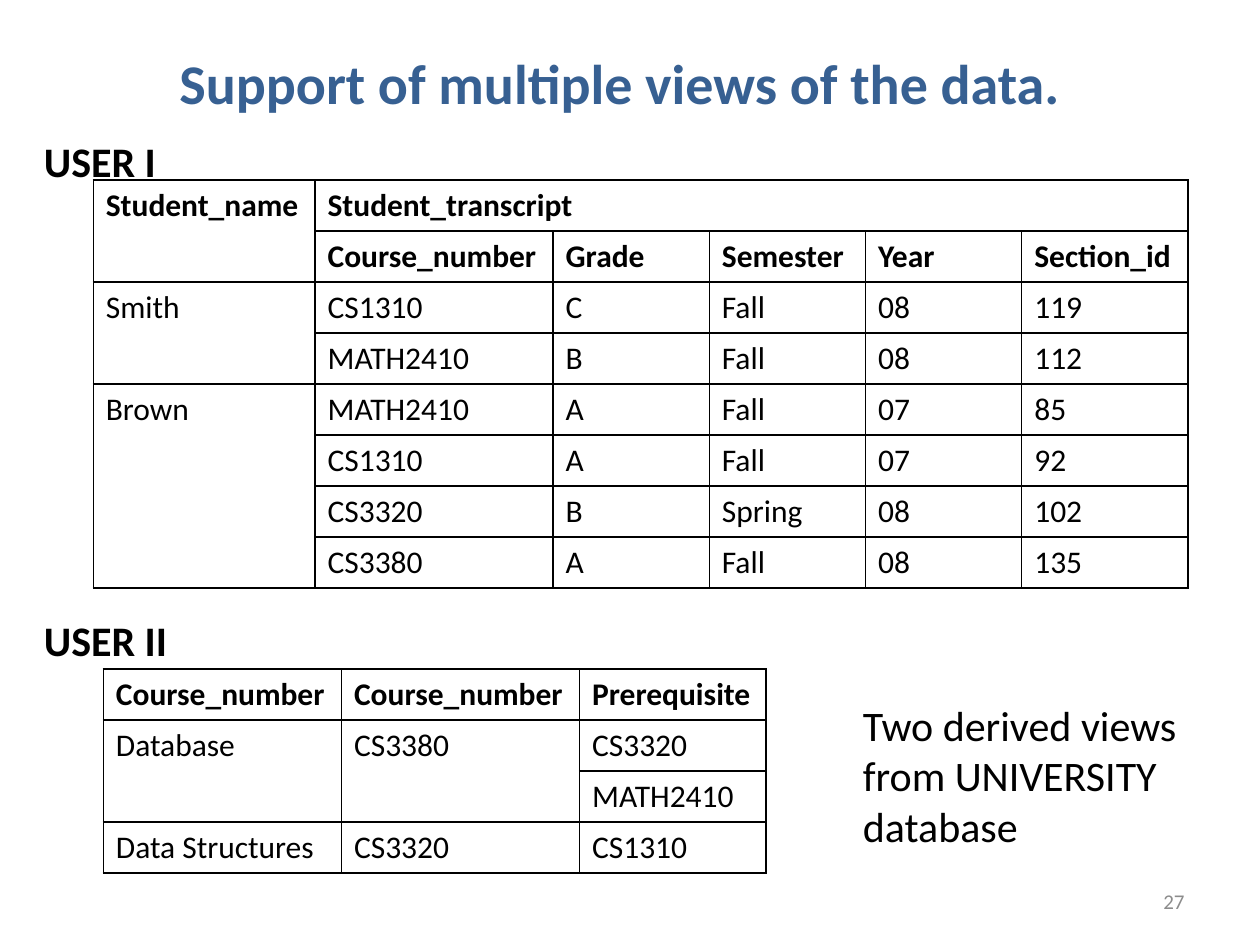
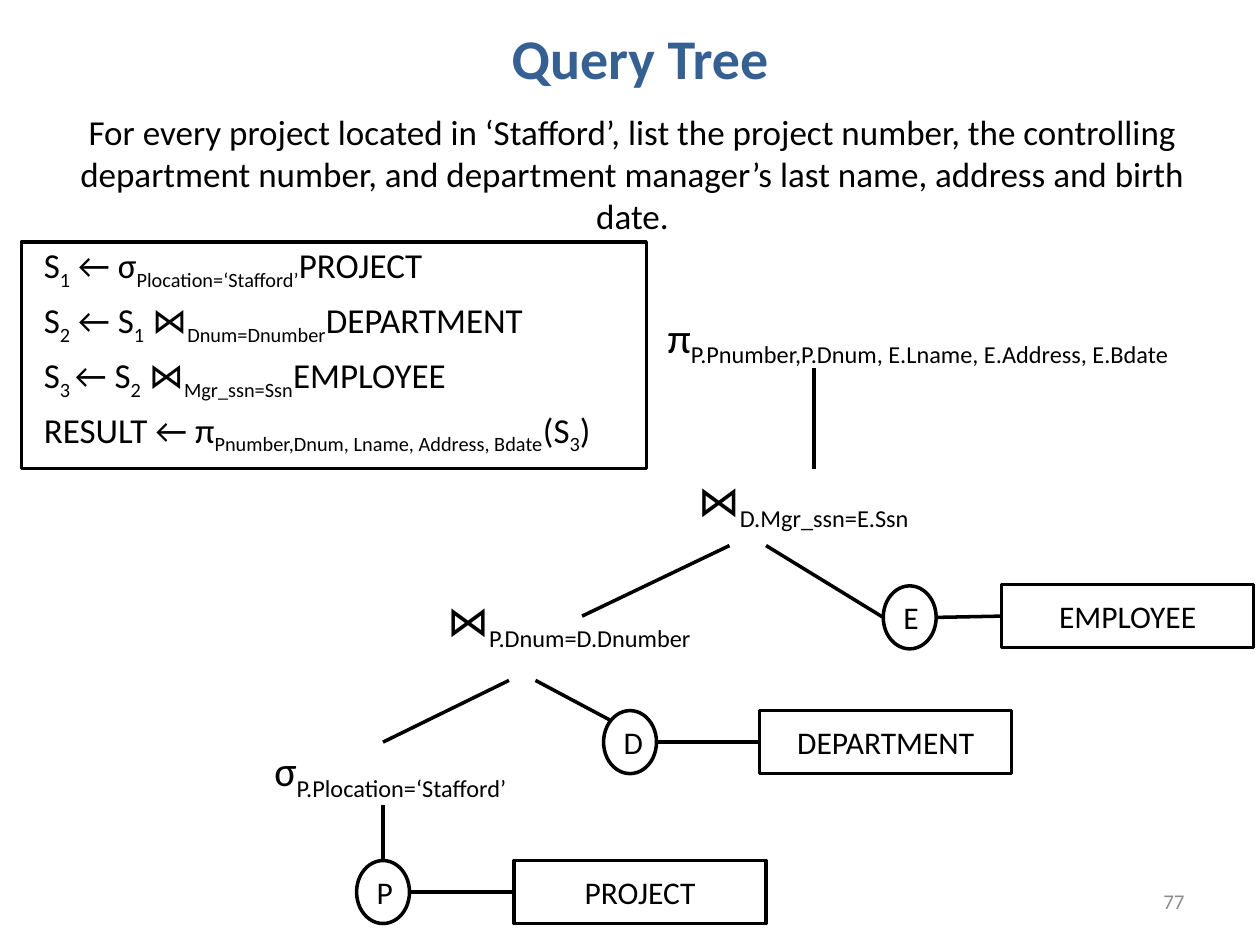
"""Build two database slides: derived views and a query tree."""
import lxml.etree
import pptx
import pptx.dml.color
import pptx.enum.shapes
import pptx.enum.text
import pptx.oxml.ns
import pptx.util

EMU_PER_PX = 9144
FONT = "Calibri"
BLACK = "000000"
TITLE_BLUE = "376092"
NUMBER_GRAY = "8C8C8C"
ALIGN = pptx.enum.text.PP_ALIGN
MIDDLE = pptx.enum.text.MSO_ANCHOR.MIDDLE
SHAPE = pptx.enum.shapes.MSO_SHAPE

TRANSCRIPT_ROWS = [
    ["Student_name", "Student_transcript", "", "", "", ""],
    ["", "Course_number", "Grade", "Semester", "Year", "Section_id"],
    ["Smith", "CS1310", "C", "Fall", "08", "119"],
    ["", "MATH2410", "B", "Fall", "08", "112"],
    ["Brown", "MATH2410", "A", "Fall", "07", "85"],
    ["", "CS1310", "A", "Fall", "07", "92"],
    ["", "CS3320", "B", "Spring", "08", "102"],
    ["", "CS3380", "A", "Fall", "08", "135"],
]
PREREQUISITE_ROWS = [
    ["Course_number", "Course_number", "Prerequisite"],
    ["Database", "CS3380", "CS3320"],
    ["", "", "MATH2410"],
    ["Data Structures", "CS3320", "CS1310"],
]
QUESTION = (
    "For every project located in ‘Stafford’, list the project number, the controlling "
    "department number, and department manager’s last name, address and birth date."
)
ALGEBRA_STEPS = [
    "S|1| ← σ|Plocation=‘Stafford’|PROJECT",
    "S|2| ← S|1| ⋈|Dnum=Dnumber|DEPARTMENT",
    "S|3 |← S|2| ⋈|Mgr_ssn=Ssn|EMPLOYEE",
    "RESULT ← π|Pnumber,Dnum, Lname, Address, Bdate|(S|3|)",
]


def px(length):
    """Convert px, 100 to the inch, into EMU."""
    return pptx.util.Emu(round(length * EMU_PER_PX))


def color(hex_string):
    """Turn a hex string into a colour."""
    return pptx.dml.color.RGBColor.from_string(hex_string)


def format_paragraph(paragraph, size, hex_string=BLACK, bold=False, align=ALIGN.LEFT):
    """Set the font and alignment of one paragraph."""
    paragraph.alignment = align
    font = paragraph.font
    font.name, font.size, font.bold = FONT, pptx.util.Pt(size), bold
    font.color.rgb = color(hex_string)


def write_formula(paragraph, formula):
    """Write text in which every second part between bars is a subscript."""
    for index, part in enumerate(formula.split("|")):
        run = paragraph.add_run()
        run.text = part
        if index % 2:
            run._r.get_or_add_rPr().set("baseline", "-25000")


def add_text(slide, box, lines, size, hex_string=BLACK, bold=False,
             align=ALIGN.LEFT, wrap=True):
    """Add a text box of formula lines and return it."""
    shape = slide.shapes.add_textbox(*map(px, box))
    frame = shape.text_frame
    frame.word_wrap = wrap
    for index, line in enumerate(lines):
        paragraph = frame.add_paragraph() if index else frame.paragraphs[0]
        write_formula(paragraph, line)
        format_paragraph(paragraph, size, hex_string, bold, align)
    return shape


def add_titled_slide(presentation, title, box, number):
    """Add a title-only slide with its title and slide number."""
    slide = presentation.slides.add_slide(presentation.slide_layouts[5])
    shape = slide.shapes.title
    shape.left, shape.top, shape.width, shape.height = map(px, box)
    shape.text_frame.text = title
    shape.text_frame.vertical_anchor = MIDDLE
    format_paragraph(shape.text_frame.paragraphs[0], 32, TITLE_BLUE, True, ALIGN.CENTER)
    footer = add_text(slide, (717, 695, 233, 40), [number], 12, NUMBER_GRAY, align=ALIGN.RIGHT)
    footer.text_frame.vertical_anchor = MIDDLE
    return slide


def add_cell_borders(cell):
    """Draw a thin black line on each side of a cell."""
    properties = cell._tc.get_or_add_tcPr()
    for index, side in enumerate(("lnL", "lnR", "lnT", "lnB")):
        line = lxml.etree.Element(pptx.oxml.ns.qn(f"a:{side}"), w=str(pptx.util.Pt(1)))
        fill = lxml.etree.SubElement(line, pptx.oxml.ns.qn("a:solidFill"))
        lxml.etree.SubElement(fill, pptx.oxml.ns.qn("a:srgbClr"), val=BLACK)
        properties.insert(index, line)


def add_view_table(slide, box, column_widths, rows, header_rows, spans):
    """Add a ruled table; each span is its first row, first column, last row, last column."""
    table = slide.shapes.add_table(len(rows), len(column_widths), *map(px, box)).table
    table.first_row = table.horz_banding = False
    for column, width in zip(table.columns, column_widths):
        column.width = px(width)
    for row_index, texts in enumerate(rows):
        table.rows[row_index].height = px(box[3] / len(rows))
        for column_index, text in enumerate(texts):
            cell = table.cell(row_index, column_index)
            cell.text = text
            cell.fill.background()
            format_paragraph(cell.text_frame.paragraphs[0], 18, bold=row_index < header_rows)
            add_cell_borders(cell)
    for top, left, bottom, right in spans:
        table.cell(top, left).merge(table.cell(bottom, right))


def add_outline(slide, kind, box, text=""):
    """Add an unfilled shape with a black outline and centred text."""
    shape = slide.shapes.add_shape(kind, *map(px, box))
    shape.shadow.inherit = False
    shape.fill.background()
    shape.line.color.rgb = color(BLACK)
    shape.line.width = pptx.util.Pt(2)
    if text:
        shape.text_frame.text = text
        shape.text_frame.vertical_anchor = MIDDLE
        format_paragraph(shape.text_frame.paragraphs[0], 18, align=ALIGN.CENTER)
    return shape


def add_branch(slide, start, end):
    """Add a straight black line and return it."""
    connector = slide.shapes.add_connector(
        pptx.enum.shapes.MSO_CONNECTOR.STRAIGHT, *map(px, start + end))
    connector.line.color.rgb = color(BLACK)
    connector.line.width = pptx.util.Pt(2)
    lxml.etree.SubElement(connector._element.spPr, pptx.oxml.ns.qn("a:effectLst"))
    return connector


def add_relation(slide, alias, name, left, top, box_left, box_top):
    """Add an alias circle joined to its relation box and return the circle."""
    circle = add_outline(slide, SHAPE.OVAL, (left, top, 42, 50), alias)
    relation = add_outline(slide, SHAPE.RECTANGLE, (box_left, box_top, 200, 50), name)
    link = add_branch(slide, (left + 42, top + 25), (box_left, box_top + 25))
    link.end_connect(relation, 1)
    return circle


def add_query_tree(slide):
    """Add the operators, relations and branches of the query tree."""
    operators = [
        ((520, 242, 479, 50), "π|P.Pnumber,P.Dnum, E.Lname, E.Address, E.Bdate"),
        ((345, 467, 234, 50), "⋈|P.Dnum=D.Dnumber"),
        ((208, 586, 233, 50), "σ|P.Plocation=‘Stafford’"),
    ]
    for box, formula in operators:
        add_text(slide, box, [formula], 24, wrap=False)
    manager_join = add_text(slide, (544, 372, 204, 50), ["⋈|D.Mgr_ssn=E.Ssn"], 24, wrap=False)
    project = add_relation(slide, "P", "PROJECT", 283, 683, 408, 683)
    add_relation(slide, "D", "DEPARTMENT", 479, 564, 603, 564)
    add_relation(slide, "E", "EMPLOYEE", 701, 465, 795, 464)
    add_branch(slide, (646, 372), (646, 292)).begin_connect(manager_join, 0)
    add_branch(slide, (304, 683), (304, 639)).begin_connect(project, 0)
    branches = [
        ((304, 589), (404, 540)),
        ((425, 540), (485, 572)),
        ((462, 489), (579, 433)),
        ((608, 433), (701, 490)),
    ]
    for start, end in branches:
        add_branch(slide, start, end)


def build_views_slide(presentation):
    """Build the slide with the two derived views."""
    slide = add_titled_slide(
        presentation, "Support of multiple views of the data.", (42, 25, 900, 80), "27")
    add_view_table(slide, (74, 143, 868, 324), [176, 189, 124, 124, 124, 132],
                   TRANSCRIPT_ROWS, 2, [(0, 0, 1, 0), (0, 1, 0, 5), (2, 0, 3, 0), (4, 0, 7, 0)])
    add_view_table(slide, (82, 531, 527, 162), [189, 189, 148],
                   PREREQUISITE_ROWS, 1, [(1, 0, 2, 0), (1, 1, 2, 1)])
    for user, top in (("USER I", 103), ("USER II", 483)):
        add_text(slide, (25, top, 158, 50), [user], 24, bold=True)
    add_text(slide, (675, 550, 283, 131), ["Two derived views from UNIVERSITY database"], 24)


def build_query_slide(presentation):
    """Build the slide with the question, its algebra and the query tree."""
    slide = add_titled_slide(presentation, "Query Tree", (58, 8, 900, 75), "77")
    body = add_text(slide, (25, 83, 954, 533), [QUESTION] + ALGEBRA_STEPS, 20)
    for paragraph in body.text_frame.paragraphs:
        paragraph.space_before = pptx.util.Pt(4)
    body.text_frame.paragraphs[0].alignment = ALIGN.CENTER
    add_outline(slide, SHAPE.RECTANGLE, (17, 192, 496, 180))
    add_query_tree(slide)


def main():
    """Build and save the presentation."""
    presentation = pptx.Presentation()
    presentation.slide_width, presentation.slide_height = px(1000), px(750)
    build_views_slide(presentation)
    build_query_slide(presentation)
    presentation.save("out.pptx")


if __name__ == "__main__":
    main()
